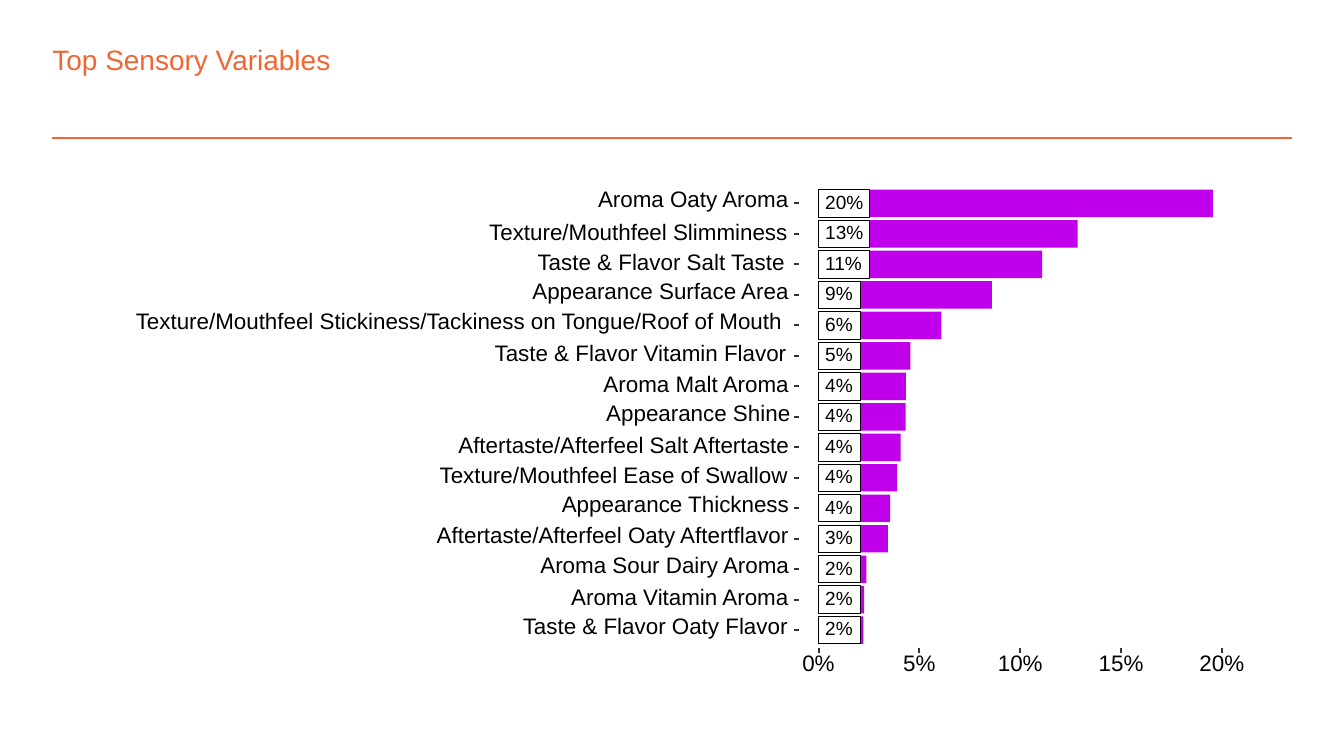
from dataclasses import dataclass

from lxml import etree
from pptx import Presentation
from pptx.dml.color import RGBColor
from pptx.enum.shapes import MSO_CONNECTOR, MSO_SHAPE
from pptx.enum.text import MSO_ANCHOR, MSO_AUTO_SIZE
from pptx.oxml.ns import qn
from pptx.slide import Slide
from pptx.util import Pt

RECTANGLE = MSO_SHAPE.RECTANGLE
STRAIGHT = MSO_CONNECTOR.STRAIGHT
TOP, MIDDLE = MSO_ANCHOR.TOP, MSO_ANCHOR.MIDDLE
FIT_SHAPE, NO_FIT = MSO_AUTO_SIZE.SHAPE_TO_FIT_TEXT, MSO_AUTO_SIZE.NONE

FONT = "Arial"
COLORS = {
    "accent": "F36633",
    "bar": "C000EB",
    "white": "FFFFFF",
    "text": "000000",
    "tick": "333333",
}

AXIS_LEFT = 438.5
POINTS_PER_PERCENT = 10.8
FIRST_ROW_MIDDLE = 109
ROW_PITCH = 16.33
BAR_HEIGHT = 14.7
LABEL_RIGHT = 423.4
TICK_LENGTH = 2.8
TICK_WIDTH = 1.07
ROW_TICK_LEFT = 425.5
AXIS_TICK_TOP = 347.1
AXIS_LABEL_TOP = 351.4
AXIS_LABEL_HEIGHT = 9.2


@dataclass(frozen=True)
class Box:
    left: float
    top: float
    width: float
    height: float


@dataclass(frozen=True)
class Variable:
    name: str
    percent: float
    label_width: float


VARIABLES = [
    Variable("Aroma Oaty Aroma", 19.57, 103),
    Variable("Texture/Mouthfeel Slimminess", 12.86, 161.3),
    Variable("Taste & Flavor Salt Taste", 11.09, 135.4),
    Variable("Appearance Surface Area", 8.6, 138.2),
    Variable("Texture/Mouthfeel Stickiness/Tackiness on Tongue/Roof of Mouth", 6.1, 350.6),
    Variable("Taste & Flavor Vitamin Flavor", 4.56, 158.4),
    Variable("Aroma Malt Aroma", 4.34, 100.1),
    Variable("Appearance Shine", 4.32, 98.6),
    Variable("Aftertaste/Afterfeel Salt Aftertaste", 4.07, 177.8),
    Variable("Texture/Mouthfeel Ease of Swallow", 3.9, 187.9),
    Variable("Appearance Thickness", 3.55, 122.4),
    Variable("Aftertaste/Afterfeel Oaty Aftertflavor", 3.45, 189.4),
    Variable("Aroma Sour Dairy Aroma", 2.38, 133.9),
    Variable("Aroma Vitamin Aroma", 2.26, 117.4),
    Variable("Taste & Flavor Oaty Flavor", 2.23, 143.3),
]


def color(name: str) -> RGBColor:
    return RGBColor.from_string(COLORS[name])


def add_rectangle(
    slide: Slide, box: Box, fill: str, line: str | None = None, line_width: float = 1
) -> None:
    shape = slide.shapes.add_shape(
        RECTANGLE, Pt(box.left), Pt(box.top), Pt(box.width), Pt(box.height)
    )
    shape.shadow.inherit = False
    shape.fill.solid()
    shape.fill.fore_color.rgb = color(fill)
    if line is None:
        shape.line.fill.background()
    else:
        shape.line.color.rgb = color(line)
        shape.line.width = Pt(line_width)


def add_line(
    slide: Slide, left: float, top: float, right: float, bottom: float, line: str, width: float
) -> None:
    connector = slide.shapes.add_connector(STRAIGHT, Pt(left), Pt(top), Pt(right), Pt(bottom))
    connector.line.color.rgb = color(line)
    connector.line.width = Pt(width)
    etree.SubElement(connector._element.spPr, qn("a:effectLst"))


def add_text(slide: Slide, box: Box, text: str, size: float, is_title: bool = False) -> None:
    shape = slide.shapes.add_textbox(Pt(box.left), Pt(box.top), Pt(box.width), Pt(box.height))
    frame = shape.text_frame
    frame.margin_left = frame.margin_top = frame.margin_right = frame.margin_bottom = Pt(0)
    frame.word_wrap = is_title
    frame.auto_size = FIT_SHAPE if is_title else NO_FIT
    frame.vertical_anchor = TOP if is_title else MIDDLE
    paragraph = frame.paragraphs[0]
    paragraph.text = text
    if not is_title:
        paragraph.line_spacing = Pt(size)
    paragraph.font.name = FONT
    paragraph.font.size = Pt(size)
    paragraph.font.color.rgb = color("accent" if is_title else "text")


def add_variable_row(slide: Slide, variable: Variable, middle: float) -> None:
    bar_top = middle - BAR_HEIGHT / 2
    bar_width = variable.percent * POINTS_PER_PERCENT
    add_rectangle(slide, Box(AXIS_LEFT, bar_top, bar_width, BAR_HEIGHT), "bar")

    value = f"{variable.percent:.0f}%"
    value_width = 20.4 if len(value) == 3 else 15.1
    tag = Box(AXIS_LEFT, bar_top, value_width + 7.2, BAR_HEIGHT)
    add_rectangle(slide, tag, "white", "text", 0.53)
    add_text(slide, Box(AXIS_LEFT + 3.6, middle - 3.9, value_width, 7.9), value, 10.2)

    has_descender = any(letter in "gpqy" for letter in variable.name)
    rise, height = (6.8, 11.3) if has_descender else (4.7, 8.8)
    label_left = LABEL_RIGHT - variable.label_width
    add_text(
        slide, Box(label_left, middle - rise, variable.label_width, height), variable.name, 12
    )
    add_line(
        slide, ROW_TICK_LEFT, middle, ROW_TICK_LEFT + TICK_LENGTH, middle, "tick", TICK_WIDTH
    )


def add_axis_mark(slide: Slide, percent: int) -> None:
    center = AXIS_LEFT + percent * POINTS_PER_PERCENT
    add_line(
        slide, center, AXIS_TICK_TOP, center, AXIS_TICK_TOP + TICK_LENGTH, "tick", TICK_WIDTH
    )
    width = 17.3 if percent < 10 else 23.8
    box = Box(center - width / 2, AXIS_LABEL_TOP, width, AXIS_LABEL_HEIGHT)
    add_text(slide, box, f"{percent}%", 12)


def main() -> None:
    presentation = Presentation()
    presentation.slide_width, presentation.slide_height = Pt(720), Pt(405)
    slide = presentation.slides.add_slide(presentation.slide_layouts[6])

    add_line(slide, 28.1, 74, 691.9, 74, "accent", 1)
    add_text(slide, Box(28.1, 23, 597, 18), "Top Sensory Variables", 15, is_title=True)
    add_rectangle(slide, Box(54, 93.6, 612, 288), "white", "white", TICK_WIDTH)
    for row, variable in enumerate(VARIABLES):
        add_variable_row(slide, variable, FIRST_ROW_MIDDLE + row * ROW_PITCH)
    for percent in range(0, 25, 5):
        add_axis_mark(slide, percent)

    presentation.save("out.pptx")


if __name__ == "__main__":
    main()
